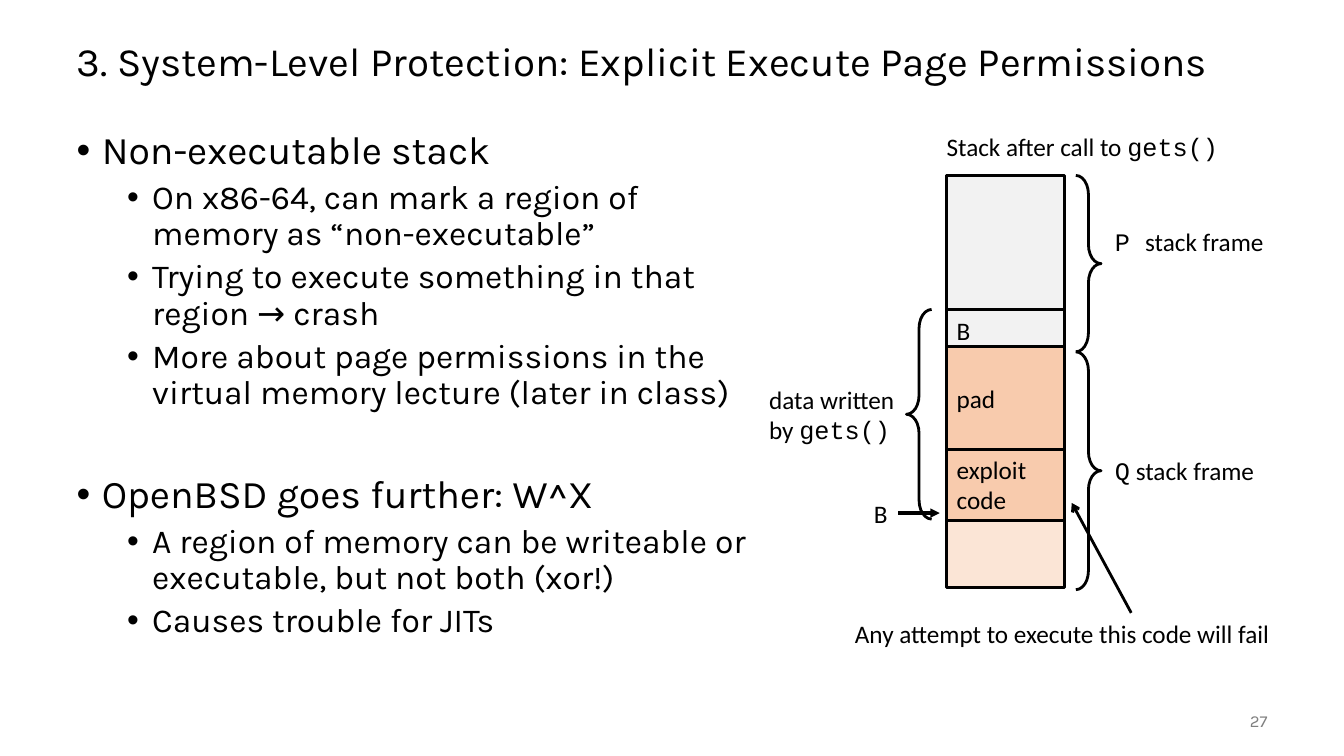
from lxml import etree
from pptx import Presentation
from pptx import util as u
from pptx.dml.color import RGBColor
from pptx.enum import shapes, text
from pptx.oxml.ns import qn

PX = 9144  # EMU in one px, 100 px to the inch
BLACK = RGBColor(0x00, 0x00, 0x00)
GRAY = RGBColor(0x80, 0x80, 0x80)
PALE_GRAY = RGBColor(0xF2, 0xF2, 0xF2)
ORANGE = RGBColor(0xF8, 0xCB, 0xAD)
PALE_ORANGE = RGBColor(0xFB, 0xE5, 0xD6)
KARLA, CALIBRI, COURIER = "Karla", "Calibri", "Courier New"

TITLE = "3. System-Level Protection: Explicit Execute Page Permissions"
TOPICS = [
    ("Non-executable stack", [
        "On x86-64, can mark a region of memory as “non-executable”",
        "Trying to execute something in that region → crash",
        "More about page permissions in the virtual memory lecture (later in class)",
    ]),
    ("OpenBSD goes further: W^X", [
        "A region of memory can be writeable or executable, but not both (xor!)",
        "Causes trouble for JITs",
    ]),
]


def emu(*lengths):
    return [u.Emu(length * PX) for length in lengths]


def set_all(target, **values):
    for name, value in values.items():
        setattr(target, name, value)


def add_run(paragraph, words, font=CALIBRI, size=18, color=BLACK):
    run = paragraph.add_run()
    run.text = words
    set_all(run.font, name=font, size=u.Pt(size))
    run.font.color.rgb = color


def write_lines(shape, lines, wrap=True, align=text.PP_ALIGN.LEFT):
    """Fill a shape with paragraphs, each a list of (words, font) pairs."""
    frame = shape.text_frame
    set_all(frame, word_wrap=wrap, vertical_anchor=text.MSO_ANCHOR.MIDDLE)
    if not wrap:
        frame.auto_size = text.MSO_AUTO_SIZE.SHAPE_TO_FIT_TEXT
    for index, line in enumerate(lines):
        paragraph = frame.add_paragraph() if index else frame.paragraphs[0]
        paragraph.alignment = align
        for words, font in line:
            add_run(paragraph, words, font)


def add_label(slide, box, lines, **options):
    label = slide.shapes.add_textbox(*emu(*box))
    write_lines(label, lines, **options)
    return label


def add_cell(slide, box, color, lines):
    cell = slide.shapes.add_shape(shapes.MSO_SHAPE.RECTANGLE, *emu(*box))
    cell.shadow.inherit = False
    cell.fill.solid()
    cell.fill.fore_color.rgb = color
    cell.line.color.rgb = BLACK
    cell.line.width = u.Pt(2.25)
    write_lines(cell, [[(line, CALIBRI)] for line in lines])


def add_brace(slide, box, rotation):
    brace = slide.shapes.add_shape(shapes.MSO_SHAPE.LEFT_BRACE, *emu(*box))
    brace.shadow.inherit = False
    brace.rotation = rotation
    brace.adjustments[0] = 0.75
    brace.fill.background()
    brace.line.color.rgb = BLACK
    brace.line.width = u.Pt(2)


def add_arrow(slide, start, end, width, head):
    arrow = slide.shapes.add_connector(
        shapes.MSO_CONNECTOR.STRAIGHT, *emu(*start, *end))
    arrow.line.color.rgb = BLACK
    arrow.line.width = u.Pt(width)
    etree.SubElement(arrow.line._get_or_add_ln(), qn("a:tailEnd"), type=head)
    etree.SubElement(arrow._element.spPr, qn("a:effectLst"))
    return arrow


def place(placeholder, box):
    left, top, width, height = emu(*box)
    set_all(placeholder, left=left, top=top, width=width, height=height)
    set_all(placeholder.text_frame, word_wrap=True,
            auto_size=text.MSO_AUTO_SIZE.NONE)


def add_title(slide, box):
    title = slide.shapes.title
    place(title, box)
    title.text_frame.vertical_anchor = text.MSO_ANCHOR.MIDDLE
    paragraph = title.text_frame.paragraphs[0]
    set_all(paragraph, alignment=text.PP_ALIGN.LEFT, line_spacing=0.9)
    add_run(paragraph, TITLE, KARLA, 28.8)


def add_bullet(paragraph, words, level, space_before):
    size, indent = ((28, 25), (24, 75))[level]
    set_all(paragraph, level=level, line_spacing=0.9,
            space_before=u.Pt(space_before))
    properties = paragraph._p.get_or_add_pPr()
    properties.set("marL", str(indent * PX))
    properties.set("indent", str(-25 * PX))
    etree.SubElement(properties, qn("a:buFont"), typeface="Arial")
    etree.SubElement(properties, qn("a:buChar"), char="•")
    add_run(paragraph, words, KARLA, size)


def add_topics(slide, box):
    body = slide.placeholders[1]
    place(body, box)
    frame = body.text_frame
    for index, (topic, points) in enumerate(TOPICS):
        paragraph = frame.add_paragraph() if index else frame.paragraphs[0]
        add_bullet(paragraph, topic, 0, 45 if index else 0)
        for point in points:
            add_bullet(frame.add_paragraph(), point, 1, 5)


def add_stack_diagram(slide, box):
    left, top, width, height = box

    def inside(x, y, *size):
        return (left + x, top + y, *size)

    add_label(slide, inside(176, 0, 293, 40),
              [[("Stack after call to ", CALIBRI), ("gets()", COURIER)]], wrap=False)

    for y, cell_height, color, lines in [
        (182, 42, PALE_GRAY, ["B"]),
        (49, 133, PALE_GRAY, []),
        (390, 68, PALE_ORANGE, []),
        (320, 71, ORANGE, ["exploit", "code"]),
        (219, 102, ORANGE, ["pad"]),
    ]:
        add_cell(slide, inside(186, y, 117, cell_height), color, lines)

    for y, label_width, caller, rest in [
        (95, 170, "P ", "stack frame"),
        (322, 161, "Q", " stack frame"),
    ]:
        add_label(slide, inside(343, y, label_width, 40),
                  [[(caller, COURIER), (rest, CALIBRI)]], wrap=False)

    address = add_label(slide, inside(104, 364, 34, 40), [[("B", CALIBRI)]], wrap=False)
    arrow = add_arrow(slide, inside(138, 384), inside(179, 384), 2.25, "triangle")
    arrow.begin_connect(address, 3)

    add_label(slide, inside(0, 251, 150, 71),
              [[("data written", CALIBRI)], [("by ", CALIBRI), ("gets()", COURIER)]])
    for x, y, brace_height, rotation in [
        (314, 49, 175, 180), (314, 224, 236, 180), (146, 182, 208, 0),
    ]:
        add_brace(slide, inside(x, y, 25, brace_height), rotation)

    add_arrow(slide, inside(369, height - 40), inside(310, 374), 2, "arrow")
    add_label(slide, inside(width - 450, height - 40, 450, 40),
              [[("Any attempt to execute this code will fail", CALIBRI)]],
              wrap=False, align=text.PP_ALIGN.RIGHT)


def add_slide_number(slide, box):
    number = add_label(slide, box, [[]], align=text.PP_ALIGN.RIGHT)
    add_run(number.text_frame.paragraphs[0], "27", KARLA, 12, GRAY)


def main():
    presentation = Presentation()
    presentation.slide_width, presentation.slide_height = emu(1333, 750)
    slide = presentation.slides.add_slide(presentation.slide_layouts[1])
    add_title(slide, (66, 25, 1200, 75))
    add_topics(slide, (66, 125, 686, 550))
    add_stack_diagram(slide, (753, 125, 516, 523))
    add_slide_number(slide, (1167, 695, 100, 40))
    presentation.save("out.pptx")


if __name__ == "__main__":
    main()
